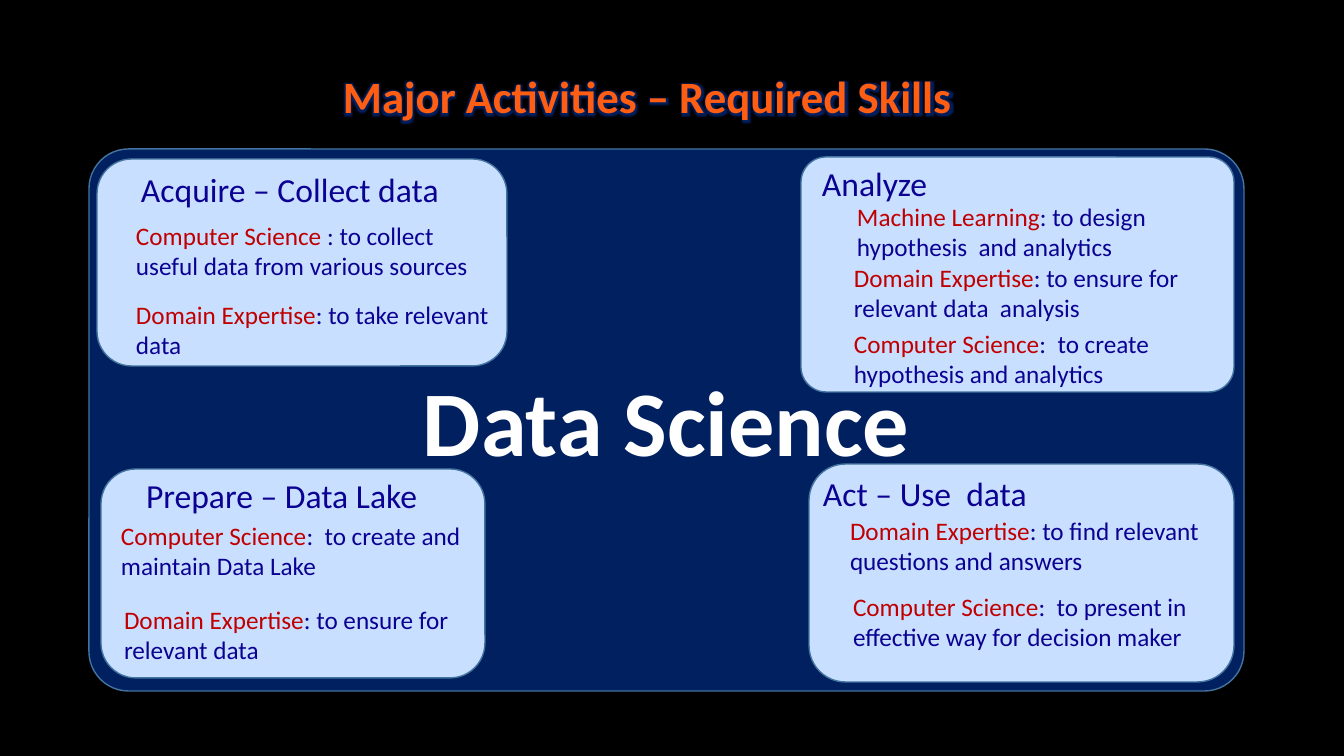
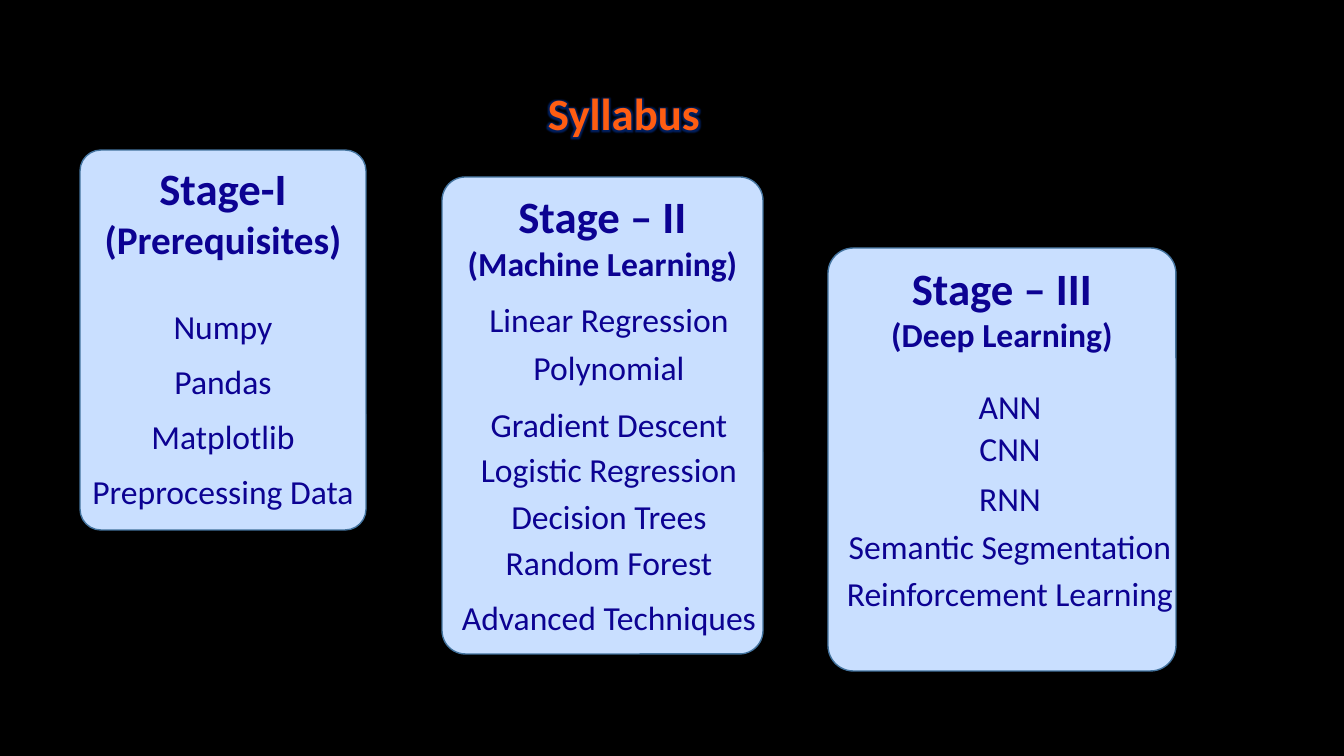
"""Builds two slides: data science activities with their skills, and a staged syllabus."""
from lxml import etree
from pptx import Presentation
from pptx.dml.color import RGBColor
from pptx.enum import shapes, text
from pptx.oxml import ns
from pptx.util import Pt

BLACK = RGBColor(0, 0, 0)
WHITE = RGBColor(0xFF, 0xFF, 0xFF)
NAVY = RGBColor(0x00, 0x20, 0x60)
PALE = RGBColor(0xC9, 0xDF, 0xFF)
EDGE = RGBColor(0x43, 0x73, 0x9E)
INK = RGBColor(0x0C, 0x02, 0x92)
RED = RGBColor(0xC0, 0, 0)
ORANGE = RGBColor(0xFF, 0x5D, 0x12)

SCALE = 12192000 / 1344
PER_PT = 1.4
WIDE, HIGH = 1344, 756
ROW = 41
NOTE_W, LIST_W = 354, 350
SLIM = 0.073
GLOW = 63500

HEAD = {"size": Pt(32), "bold": True}
SUB = {"size": Pt(24), "bold": True}
ITEM = {"size": Pt(24), "bold": False}
NOTE = {"size": Pt(18), "bold": False}
HERO = {"size": Pt(66), "bold": True}
FLUSH = {"margin_left": 0, "margin_right": 0, "margin_top": 0, "margin_bottom": 0,
         "word_wrap": True, "auto_size": text.MSO_AUTO_SIZE.NONE,
         "vertical_anchor": text.MSO_ANCHOR.TOP}
LEFT, MID = text.PP_ALIGN.LEFT, text.PP_ALIGN.CENTER

CS, DOMAIN, ML = "Computer Science", "Domain Expertise", "Machine Learning"
PANEL = (89, 149, 1155, 542)
SKILLS = [
    {"card": (97, 159, 410, 207), "adj": 0.167, "head": ("Acquire – Collect data", 141, 169),
     "at": (136, 220), "notes": [
         (CS + " ", ": to collect useful data from various sources", 0, 0),
         (DOMAIN, ": to take relevant data", 0, 19)]},
    {"card": (101, 469, 384, 209), "adj": 0.167, "head": ("Prepare – Data Lake", 146, 475),
     "at": (121, 520), "notes": [
         (CS, ":  to create and maintain Data Lake", 0, 0),
         (DOMAIN, ": to ensure for  relevant data", 3, 24)]},
    {"card": (801, 157, 433, 235), "adj": 0.107, "head": ("Analyze", 822, 163),
     "at": (854, 201), "notes": [
         (ML, ": to design hypothesis  and analytics", 3, 0),
         (DOMAIN, ": to ensure for  relevant data  analysis", 0, 1),
         (CS, ":  to create hypothesis and analytics", 0, 5)]},
    {"card": (809, 464, 425, 218), "adj": 0.167, "head": ("Act – Use  data", 823, 473),
     "at": (850, 515), "notes": [
         (DOMAIN, ": to find relevant questions and answers", 0, 0),
         (CS, ":  to present in effective way for decision maker", 3, 16)]},
]
STAGES = [
    {"card": (80, 150, 286, 380), "head": "Stage-I", "sub": "(Prerequisites)", "size": 28,
     "mid": 223, "items": [("Numpy", 306), ("Pandas", 362), ("Matplotlib", 417),
                           ("Preprocessing Data", 473)]},
    {"card": (442, 177, 321, 477), "head": "Stage – II", "sub": "(Machine Learning)", "size": 24,
     "mid": 609, "items": [("Linear Regression", 299), ("Polynomial", 348),
                           ("Gradient Descent", 405), ("Logistic Regression", 451),
                           ("Decision Trees", 499), ("Random Forest", 545),
                           ("Advanced Techniques", 601)]},
    {"card": (828, 248, 348, 423), "head": "Stage – III", "sub": "(Deep Learning)", "size": 24,
     "mid": 1010, "items": [("ANN", 386), ("CNN", 429), ("RNN", 479),
                            ("Semantic Segmentation", 528),
                            ("Reinforcement Learning", 576)]},
]


def px(n):
    return round(n * SCALE)


def style(obj, form):
    for key, val in form.items():
        setattr(obj, key, val)


def place(shape, box):
    style(shape, dict(zip(("left", "top", "width", "height"), map(px, box))))


def write(frame, paras, align, flat=False):
    """Fill a frame with (runs, indent, gap) entries; a run is (words, format, colour)."""
    for i, (runs, dent, gap) in enumerate(paras):
        para = frame.paragraphs[0] if i == 0 else frame.add_paragraph()
        if flat:
            prop = para._p.get_or_add_pPr()
            prop.set("marL", str(px(dent)))
            prop.set("indent", "0")
            etree.SubElement(prop, ns.qn("a:buNone"))
        style(para, {"alignment": align, "space_before": Pt(round(gap / PER_PT, 1))})
        for words, form, hue in runs:
            run = para.add_run()
            run.text = words
            style(run.font, {"name": "Calibri", **form})
            run.font.color.rgb = hue


def card(slide, box, fill, adj):
    shape = slide.shapes.add_shape(shapes.MSO_SHAPE.ROUNDED_RECTANGLE, 0, 0, 0, 0)
    place(shape, box)
    shape.adjustments[0] = adj
    shape.shadow.inherit = False
    shape.fill.solid()
    shape.fill.fore_color.rgb = fill
    shape.line.color.rgb = EDGE
    shape.line.width = Pt(1)
    return shape


def body(slide, hold, box, paras, align):
    slide.shapes._spTree.append(hold._element)
    place(hold, box)
    style(hold.text_frame, FLUSH)
    write(hold.text_frame, paras, align, True)


def start(prs, words, box):
    slide = prs.slides.add_slide(prs.slide_layouts[4])
    title = slide.shapes.title
    place(title, box)
    style(title.text_frame, {**FLUSH, "margin_top": px(5)})
    write(title.text_frame, [([(words, HEAD, ORANGE)], 0, 0)], MID)
    prop = title.text_frame.paragraphs[0].runs[0].font._element
    fx = etree.Element(ns.qn("a:effectLst"))
    glow = etree.SubElement(fx, ns.qn("a:glow"), rad=str(GLOW))
    etree.SubElement(glow, ns.qn("a:srgbClr"), val=str(NAVY))
    prop.find(ns.qn("a:solidFill")).addnext(fx)
    return slide, [p for p in slide.placeholders if p.placeholder_format.idx]


def skills(prs):
    slide, holds = start(prs, "Major Activities – Required Skills", (331, 64, 633, 65))
    panel = card(slide, PANEL, NAVY, SLIM)
    panel.text_frame.vertical_anchor = text.MSO_ANCHOR.MIDDLE
    write(panel.text_frame, [([("Data Science", HERO, WHITE)], 0, 0)], MID)
    for hold, part in zip(holds, SKILLS):
        card(slide, part["card"], PALE, part["adj"])
        words, x, y = part["head"]
        label = slide.shapes.add_textbox(0, 0, 0, 0)
        place(label, (x, y, LIST_W, ROW))
        style(label.text_frame, FLUSH)
        write(label.text_frame, [([(words, ITEM, INK)], 0, 0)], LEFT)
        x, y = part["at"]
        end = part["card"][1] + part["card"][3]
        paras = [([(who, NOTE, RED), (why, NOTE, INK)], dent, gap)
                 for who, why, dent, gap in part["notes"]]
        body(slide, hold, (x, y, NOTE_W, end - y), paras, LEFT)


def syllabus(prs):
    slide, holds = start(prs, "Syllabus", (131, 81, 986, 65))
    for hold, part in zip(holds, STAGES):
        shape = card(slide, part["card"], PALE, SLIM)
        shape.text_frame.vertical_anchor = text.MSO_ANCHOR.TOP
        sub = {**SUB, "size": Pt(part["size"])}
        write(shape.text_frame, [([(part["head"], HEAD, INK)], 0, 0),
                                 ([(part["sub"], sub, INK)], 0, 0)], MID)
        tops = [y for _, y in part["items"]]
        gaps = [0] + [b - a - ROW for a, b in zip(tops, tops[1:])]
        paras = [([(words, ITEM, INK)], 0, gap)
                 for (words, _), gap in zip(part["items"], gaps)]
        box = (part["mid"] - LIST_W // 2, tops[0], LIST_W, tops[-1] + ROW - tops[0])
        body(slide, hold, box, paras, MID)
    for hold in holds[len(STAGES):]:
        slide.shapes._spTree.remove(hold._element)


def main():
    prs = Presentation()
    style(prs, {"slide_width": px(WIDE), "slide_height": px(HIGH)})
    back = prs.slide_master.background.fill
    back.solid()
    back.fore_color.rgb = BLACK
    skills(prs)
    syllabus(prs)
    prs.save("out.pptx")


if __name__ == "__main__":
    main()
